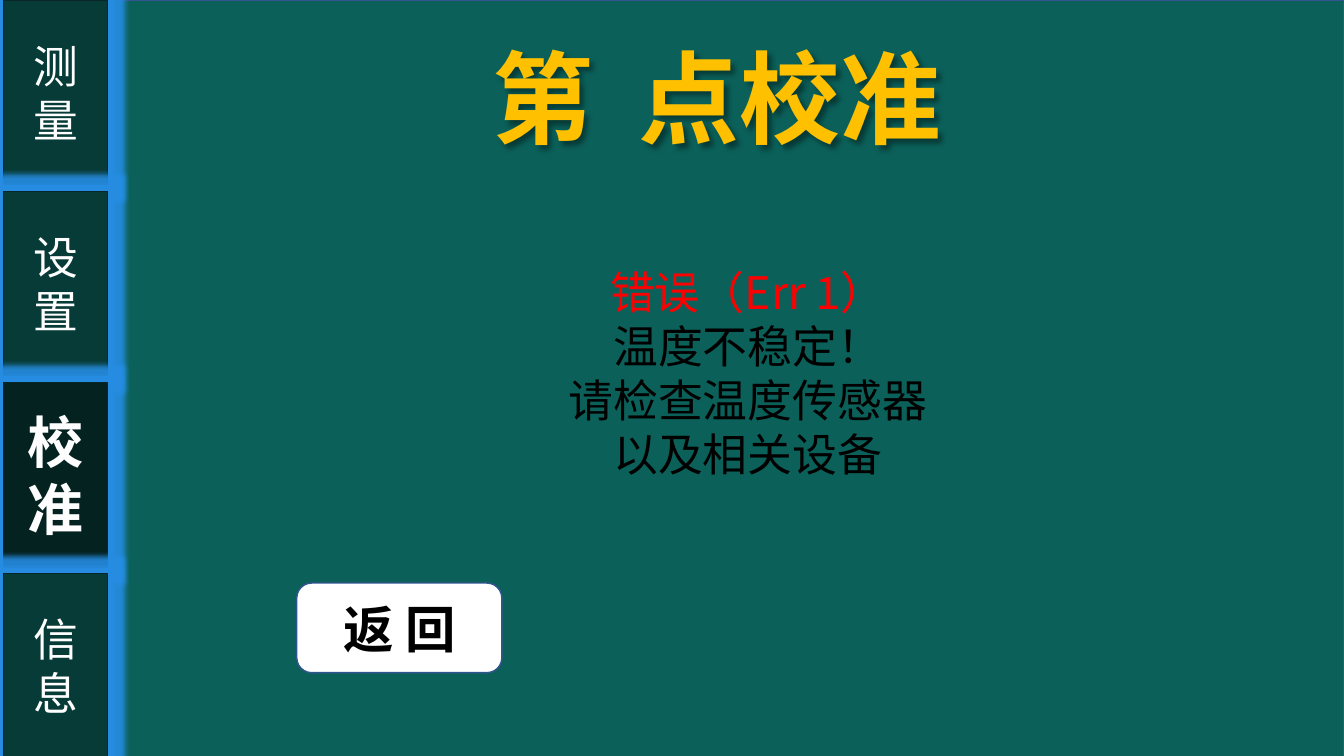
from lxml import etree
from pptx import Presentation
from pptx.dml.color import RGBColor
from pptx.enum.shapes import MSO_SHAPE
from pptx.enum.text import MSO_ANCHOR, PP_ALIGN
from pptx.oxml.ns import qn
from pptx.util import Pt

RECT, ROUNDED = MSO_SHAPE.RECTANGLE, MSO_SHAPE.ROUNDED_RECTANGLE
TOP, MIDDLE = MSO_ANCHOR.TOP, MSO_ANCHOR.MIDDLE
CENTER = PP_ALIGN.CENTER

TEAL = RGBColor(0x0B, 0x61, 0x5A)
TAB = RGBColor(0x07, 0x3B, 0x37)
TAB_ACTIVE = RGBColor(0x04, 0x22, 0x20)
TAB_LINE = RGBColor(0x09, 0x27, 0x29)
BLUE_LINE = RGBColor(0x32, 0x54, 0x91)
GLOW = RGBColor(0x27, 0x8E, 0xE4)
WHITE = RGBColor(0xFF, 0xFF, 0xFF)
OFF_WHITE = RGBColor(0xFE, 0xFE, 0xFE)
BLACK = RGBColor(0, 0, 0)
GOLD = RGBColor(0xFF, 0xC0, 0)
RED = RGBColor(0xFF, 0, 0)
LATIN, CJK = "Calibri", "Noto Sans CJK SC"


def add_effect(shape, tag, color, alpha, **attrs):
    """Add one glow or shadow effect to a shape."""
    shape.shadow.inherit = False
    effects = shape._element.spPr.find(qn("a:effectLst"))
    effect = etree.SubElement(effects, qn(tag), {k: str(v) for k, v in attrs.items()})
    clr = etree.SubElement(effect, qn("a:srgbClr"), val=str(color))
    etree.SubElement(clr, qn("a:alpha"), val=str(alpha * 1000))


def add_box(s, kind, box, fill, line):
    """Draw a filled, outlined shape without shadow."""
    sp = s.shapes.add_shape(kind, *map(Pt, box))
    sp.shadow.inherit = False
    sp.fill.solid()
    sp.fill.fore_color.rgb = fill
    sp.line.color.rgb = line
    sp.line.width = Pt(1)
    return sp


def write(sp, lines, size, font, bold=False, anchor=MIDDLE):
    """Fill a shape with centred paragraphs given as text and colour."""
    tf = sp.text_frame
    tf.word_wrap = True
    tf.vertical_anchor = anchor
    for i, (text, color) in enumerate(lines):
        p = tf.add_paragraph() if i else tf.paragraphs[0]
        p.text = text
        p.alignment = CENTER
        p.font.size = Pt(size)
        p.font.name = font
        p.font.bold = bold
        p.font.color.rgb = color


def add_sidebar(s, x, y, w, h, tabs, active):
    """Stack the glowing navigation tabs, with the active one emphasised."""
    pitch = 136.6
    for i, lines in enumerate(tabs):
        on = i == active
        sp = add_box(s, RECT, (x, y + i * pitch, w, h), TAB_ACTIVE if on else TAB, TAB_LINE)
        add_effect(sp, "a:glow", GLOW, 90, rad=Pt(8))
        color = OFF_WHITE if on else WHITE
        write(sp, [(text, color) for text in lines], 40 if on else 32, LATIN, on)


def add_title(s, x, y, w, h, text):
    """Write the gold page title with its soft shadow."""
    sp = s.shapes.add_textbox(*map(Pt, (x, y, w, h)))
    write(sp, [(text, GOLD)], 72, CJK, True, TOP)
    add_effect(sp, "a:outerShdw", BLACK, 40, blurRad=Pt(4), dist=Pt(3),
               dir=2700000, algn="tl", rotWithShape=0)


def add_message(s, x, y, w, h):
    """Write the error code and the advice below it."""
    sp = s.shapes.add_textbox(*map(Pt, (x, y, w, h)))
    lines = [("错误（Err 1）", RED), ("温度不稳定！\v请检查温度传感器", BLACK), ("以及相关设备", BLACK)]
    write(sp, lines, 32, CJK, anchor=TOP)


def add_button(s, x, y, w, h, text):
    """Draw a white rounded button."""
    sp = add_box(s, ROUNDED, (x, y, w, h), WHITE, BLUE_LINE)
    write(sp, [(text, BLACK)], 36, CJK, True)


def main():
    """Build the calibration error screen."""
    prs = Presentation()
    prs.slide_width, prs.slide_height = Pt(960), Pt(540)
    s = prs.slides.add_slide(prs.slide_layouts[6])
    add_box(s, RECT, (0, 0, 960, 541.5), TEAL, BLUE_LINE)
    tabs = [("测", "量"), ("设置",), ("校", "准"), ("信", "息")]
    add_sidebar(s, 2.6, 0, 74.2, 131.8, tabs, active=2)
    add_title(s, 292.3, 22.3, 439.2, 94.3, "第  点校准")
    add_button(s, 212, 416.5, 146.5, 64, "返 回")
    add_message(s, 358.5, 185.8, 351.4, 162.7)
    prs.save("out.pptx")


if __name__ == "__main__":
    main()
